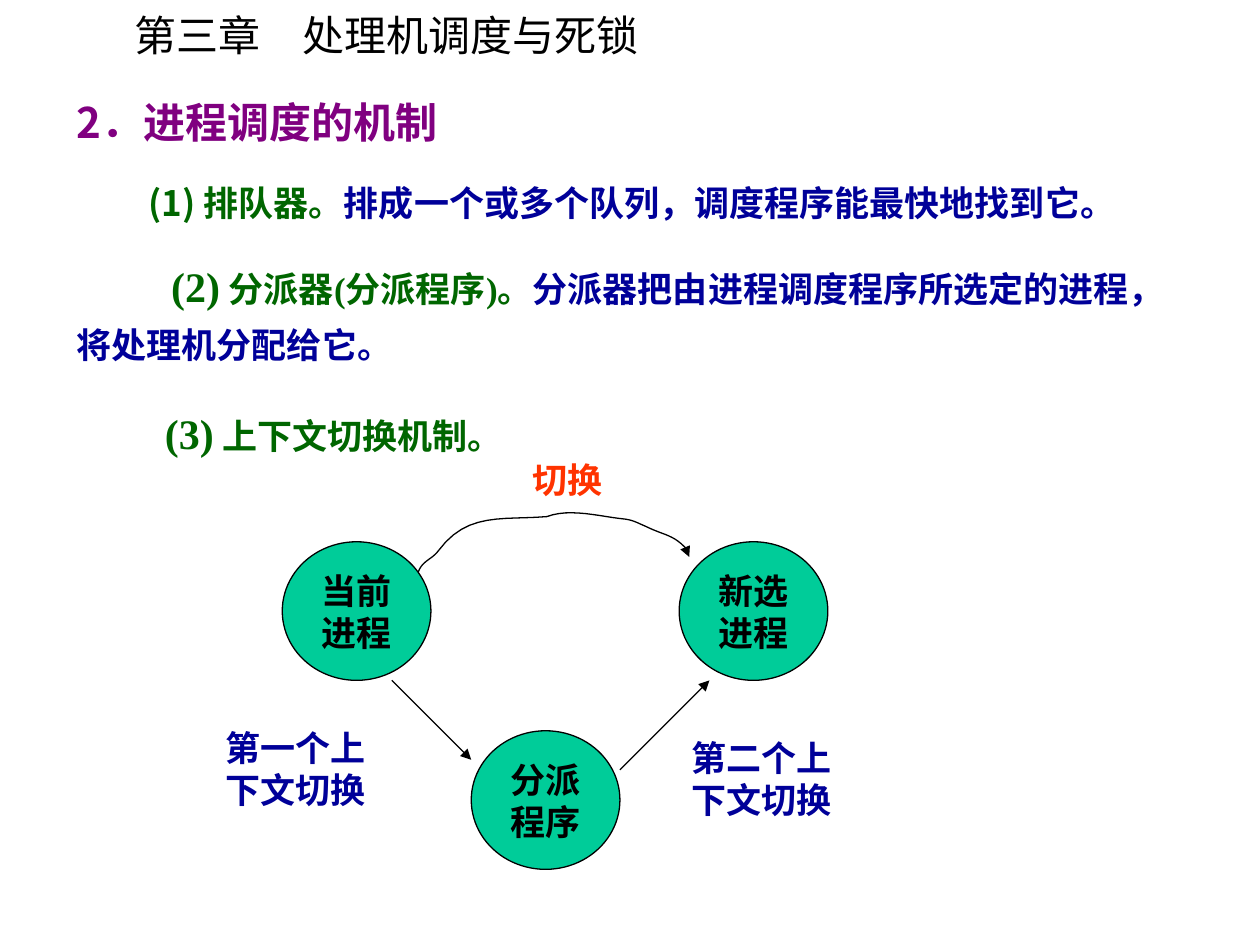
import pptx
import pptx.util
import pptx.dml.color
import pptx.enum.shapes
import pptx.enum.text
import pptx.oxml
import pptx.oxml.ns
import lxml.etree

SANS = "Noto Sans CJK SC"
SERIF = "Times New Roman"
BLACK, PURPLE, GREEN, BLUE, RED, TEAL = "000000", "800080", "006600", "000099", "FF3300", "00CC99"
ALIGN = pptx.enum.text.PP_ALIGN
qn = pptx.oxml.ns.qn


def color(value):
    return pptx.dml.color.RGBColor.from_string(value)


def write(frame, paragraphs, **frame_format):
    for name, value in {"word_wrap": True, **frame_format}.items():
        setattr(frame, name, value)
    for index, (paragraph_format, runs) in enumerate(paragraphs):
        paragraph = frame.paragraphs[0] if index == 0 else frame.add_paragraph()
        for name, value in paragraph_format.items():
            if name == "indent":
                paragraph._p.get_or_add_pPr().set("indent", str(int(value)))
            else:
                setattr(paragraph, name, value)
        for text, size, font_name, font_color, bold in runs:
            run = paragraph.add_run()
            run.text = text
            font_format = {"size": pptx.util.Pt(size), "name": font_name, "bold": bold}
            for name, value in font_format.items():
                setattr(run.font, name, value)
            run.font.color.rgb = color(font_color)
            east_asian = lxml.etree.SubElement(run._r.get_or_add_rPr(), qn("a:ea"))
            east_asian.set("typeface", SANS)


presentation = pptx.Presentation()
presentation.slide_width = pptx.util.Inches(10)
presentation.slide_height = pptx.util.Inches(7.5)
slide = presentation.slides.add_slide(presentation.slide_layouts[6])
column = presentation.slide_width // 100
row = presentation.slide_height // 75

title = slide.shapes.add_textbox(int(9.7 * column), int(0.3 * row), int(42.7 * column), 5 * row)
write(title.text_frame, [({}, [("第三章\u3000处理机调度与死锁", 24, SANS, BLACK, False)])])

gap = pptx.util.Pt(12.5)
body = slide.shapes.add_textbox(int(5.1 * column), 6 * row, int(90.8 * column), int(31.8 * row))
write(body.text_frame, [
    ({"alignment": ALIGN.JUSTIFY, "line_spacing": 1.3},
     [("2．进程调度的机制", 24, SANS, PURPLE, True)]),
    ({"alignment": ALIGN.JUSTIFY, "line_spacing": 1.3, "space_before": gap, "indent": 5.7 * column},
     [("(1) 排队器。", 20, SANS, GREEN, True),
      ("排成一个或多个队列，调度程序能最快地找到它。", 20, SANS, BLUE, True)]),
    ({"line_spacing": 1.3, "space_before": gap, "indent": 7.5 * column},
     [("(2)", 24, SERIF, GREEN, True),
      (" ", 20, SERIF, GREEN, True),
      ("分派器", 20, SANS, GREEN, True),
      ("(", 20, SERIF, GREEN, True),
      ("分派程序", 20, SANS, GREEN, True),
      (")", 20, SERIF, GREEN, True),
      ("。", 20, SANS, GREEN, True),
      ("分派器把由进程调度程序所选定的进程，将处理机分配给它。", 20, SANS, BLUE, True)]),
    ({"line_spacing": 1.4, "space_before": gap, "indent": 7 * column},
     [("(3)", 24, SERIF, GREEN, True),
      (" 上下文切换机制。", 20, SERIF, GREEN, True)]),
])

for left, top, words in [
    (22.4, 43, ("当前", "进程")),
    (53.9, 43, ("新选", "进程")),
    (37.4, 58, ("分派", "程序")),
]:
    process = slide.shapes.add_shape(
        pptx.enum.shapes.MSO_SHAPE.OVAL,
        int(left * column), int(top * row), int(11.8 * column), 11 * row)
    process.shadow.inherit = False
    process.fill.solid()
    process.fill.fore_color.rgb = color(TEAL)
    process.line.color.rgb = color(BLACK)
    process.line.width = pptx.util.Pt(0.75)
    write(process.text_frame,
          [({"alignment": ALIGN.CENTER}, [(word, 20, SERIF, BLACK, True)]) for word in words],
          word_wrap=False, vertical_anchor=pptx.enum.text.MSO_ANCHOR.MIDDLE)

for left, top, width, height, text, text_color in [
    (41.3, 35.9, 10.2, 4.4, "切换", RED),
    (16.9, 57.2, 14.2, 7.7, "第一个上下文切换", BLUE),
    (53.9, 58, 14.2, 7.7, "第二个上下文切换", BLUE),
]:
    label = slide.shapes.add_textbox(
        int(left * column), int(top * row), int(width * column), int(height * row))
    write(label.text_frame, [({}, [(text, 20, SERIF, text_color, True)])])

start = (33.2, 45.4)
curves = [
    ((33.5, 44.5), (34.3, 44.4), (34.8, 43.7)),
    ((37.1, 40.6), (39.9, 41.3), (43.4, 41)),
    ((45.3, 40.3), (47.6, 41), (49.6, 41.2)),
    ((50.3, 41.3), (50.6, 41.5), (51.3, 41.8)),
    ((52.7, 42.5), (53.5, 42.4), (54.6, 43.7)),
    ((54.6, 43.9), (54.7, 44.2), (54.7, 44.2)),
]
steps = 12
points = [start]
for first, second, end in curves:
    corners = (points[-1], first, second, end)
    for step in range(1, steps + 1):
        t = step / steps
        weights = ((1 - t) ** 3, 3 * t * (1 - t) ** 2, 3 * t ** 2 * (1 - t), t ** 3)
        points.append(tuple(
            sum(weight * corner[axis] for weight, corner in zip(weights, corners))
            for axis in (0, 1)))
builder = slide.shapes.build_freeform(
    int(start[0] * column), int(start[1] * row), scale=1.0)
builder.add_line_segments([(int(x * column), int(y * row)) for x, y in points[1:]], close=False)
switch = builder.convert_to_shape()
switch.fill.background()

arrows = [switch]
for x1, y1, x2, y2 in [(31.1, 54, 37.4, 60.3), (49.2, 61.1, 56.3, 54)]:
    arrows.append(slide.shapes.add_connector(
        pptx.enum.shapes.MSO_CONNECTOR.STRAIGHT,
        int(x1 * column), int(y1 * row), int(x2 * column), int(y2 * row)))
for arrow in arrows:
    arrow.line.color.rgb = color(BLACK)
    arrow.line.width = pptx.util.Pt(0.75)
    tail = lxml.etree.SubElement(arrow.line._get_or_add_ln(), qn("a:tailEnd"))
    tail.set("type", "triangle")
    lxml.etree.SubElement(arrow._element.spPr, qn("a:effectLst"))

presentation.save("out.pptx")
